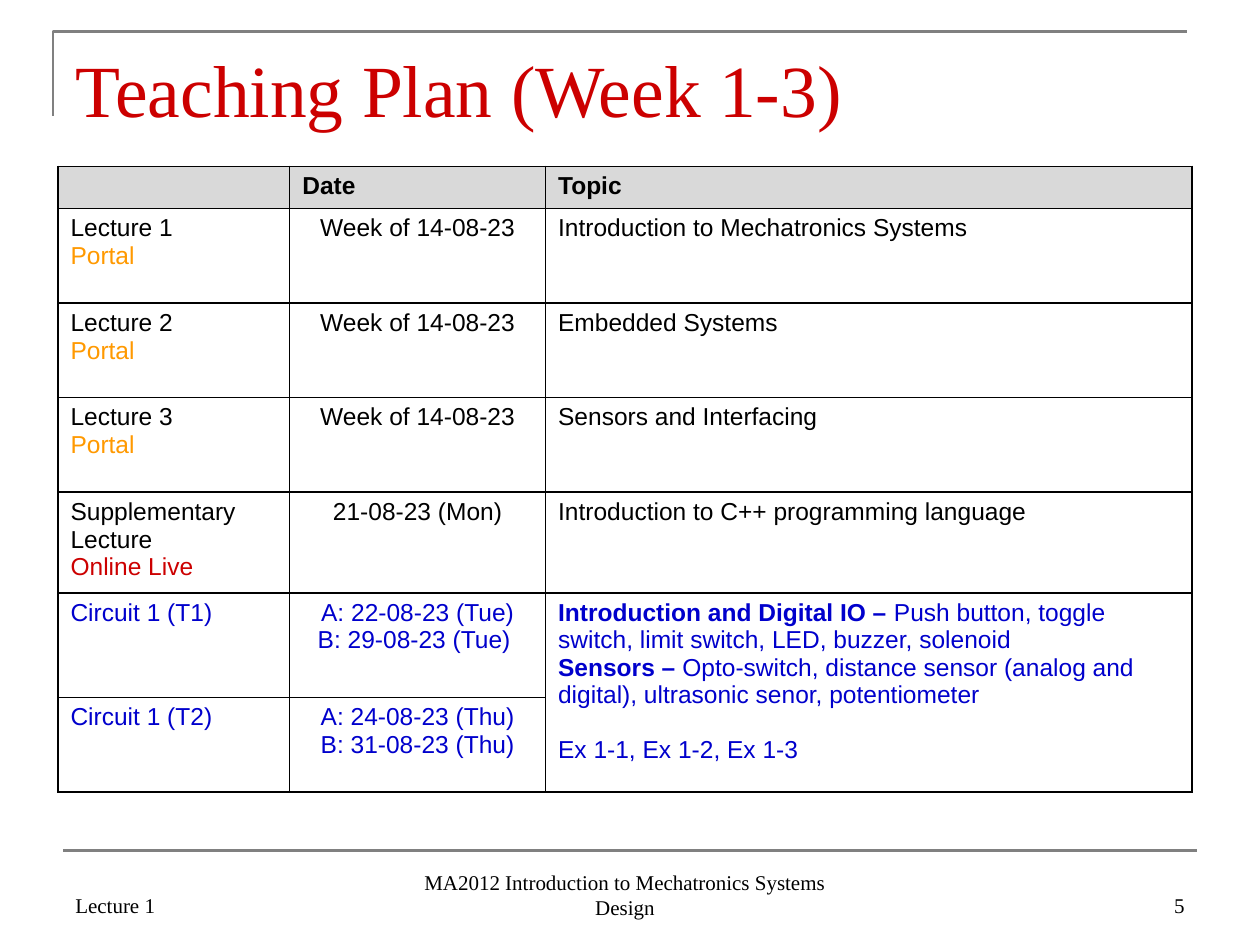
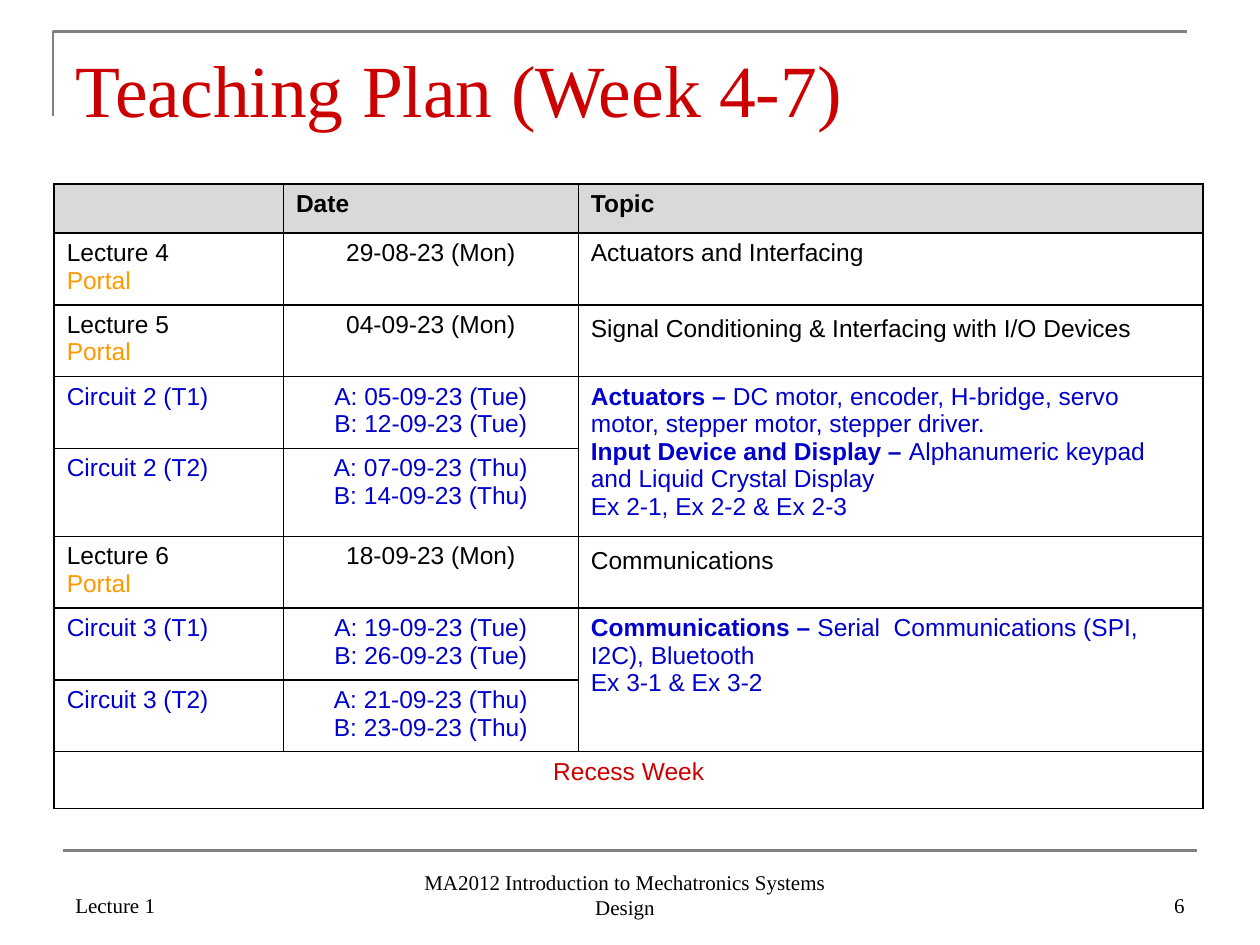
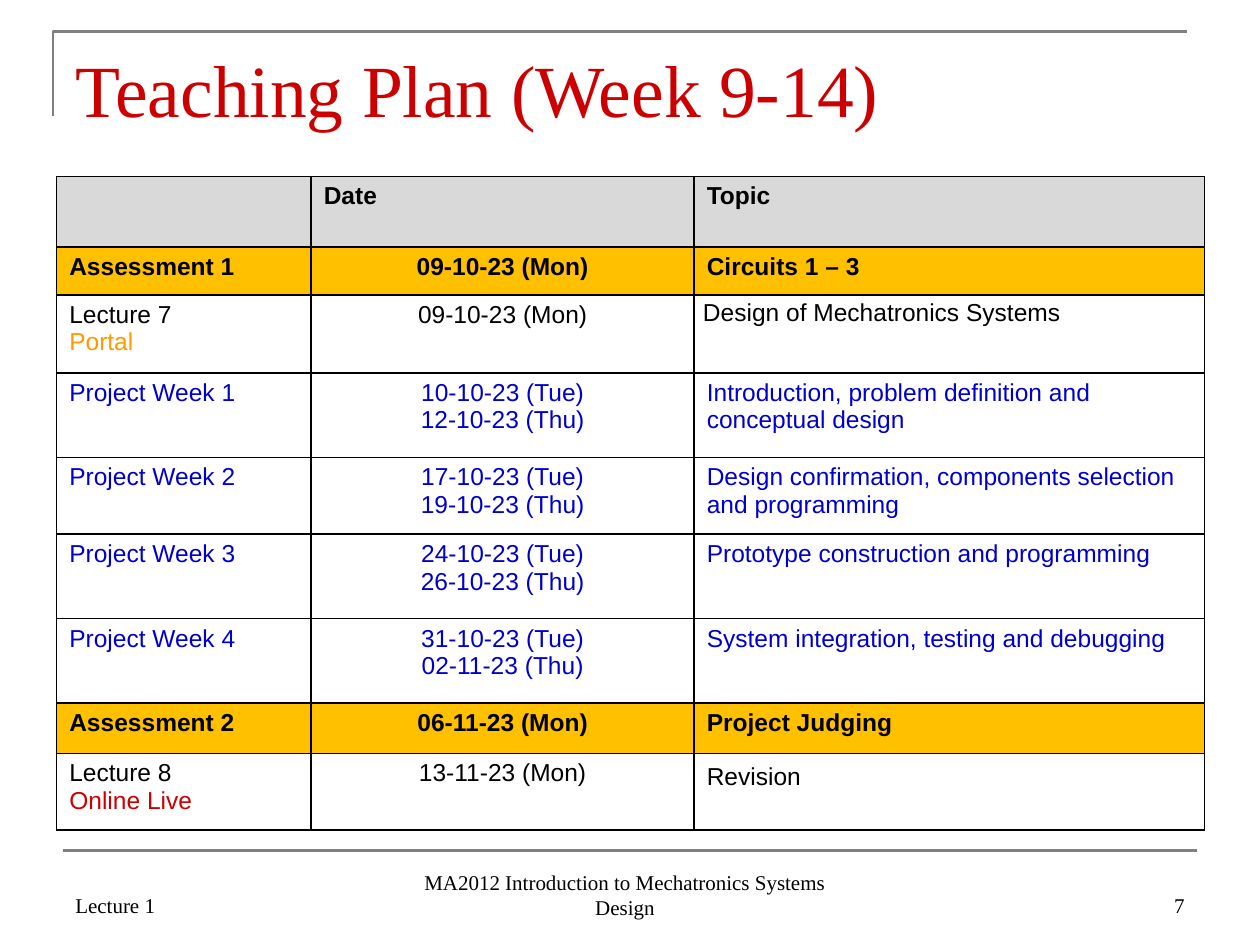
from lxml.etree import SubElement
from pptx import Presentation
from pptx.dml.color import RGBColor
from pptx.enum.text import MSO_ANCHOR, MSO_AUTO_SIZE, PP_ALIGN
from pptx.enum.shapes import MSO_CONNECTOR
from pptx.oxml.ns import qn
from pptx.util import Inches, Pt

BLACK = RGBColor(0x00, 0x00, 0x00)
RED = RGBColor(0xCC, 0x00, 0x00)
BLUE = RGBColor(0x00, 0x00, 0xCC)
ORANGE = RGBColor(0xFF, 0x99, 0x00)
AMBER = RGBColor(0xFF, 0xC0, 0x00)
LIGHT_GREY = RGBColor(0xD9, 0xD9, 0xD9)
RULE_GREY = RGBColor(0x80, 0x80, 0x80)

TITLE_FONT = {"name": "Times New Roman", "size": Pt(42), "bold": False}
FOOTER_FONT = {"name": "Times New Roman", "size": Pt(12)}
CELL_FONT = {"name": "Arial", "size": Pt(14)}

TITLE_BOX = (0.5, 0.3, 9, 0.97)
COURSE = "MA2012 Introduction to Mechatronics Systems Design"
FIRST_PAGE_NUMBER = 5

ROW_STYLES = {
    "header": {"color": BLACK, "bold": True, "fill": LIGHT_GREY},
    "lecture": {"color": BLACK, "bold": False, "fill": None},
    "practical": {"color": BLUE, "bold": False, "fill": None},
    "assessment": {"color": BLACK, "bold": True, "fill": AMBER},
    "recess": {"color": RED, "bold": False, "fill": None},
}
MODE_COLORS = {"Portal": ORANGE, "Online Live": RED}
LOOSE_TOPICS = {
    "Signal Conditioning & Interfacing with I/O Devices",
    "Communications",
    "Design of Mechatronics Systems",
    "Revision",
}
TIGHT_TOPIC = "Design of Mechatronics Systems"
TIGHT_MARGINS = {
    "margin_left": Inches(0.07), "margin_right": Inches(0.07),
    "margin_top": 0, "margin_bottom": 0,
}
SPACED_EXERCISES = "Ex 1-1, Ex 1-2, Ex 1-3"
HEADER_ROW = ("header", "", "Date", "Topic")

PLANS = [
    {
        "title": "Teaching Plan (Week 1-3)",
        "corner": (0.46, 1.32),
        "columns": [1.84, 2.03, 5.13],
        "heights": [0.33, 0.75, 0.75, 0.75, 0.76, 0.83, 0.75],
        "rows": [
            ("lecture", "Lecture 1\nPortal", "Week of 14-08-23",
             "Introduction to Mechatronics Systems"),
            ("lecture", "Lecture 2\nPortal", "Week of 14-08-23", "Embedded Systems"),
            ("lecture", "Lecture 3\nPortal", "Week of 14-08-23", "Sensors and Interfacing"),
            ("lecture", "Supplementary Lecture\nOnline Live", "21-08-23 (Mon)",
             "Introduction to C++ programming language"),
            ("practical", "Circuit 1 (T1)", "A: 22-08-23 (Tue)\nB: 29-08-23 (Tue) ",
             "Introduction and Digital IO – Push button, toggle switch, limit switch, "
             "LED, buzzer, solenoid\n"
             "Sensors – Opto-switch, distance sensor (analog and digital), "
             "ultrasonic senor, potentiometer\n" + SPACED_EXERCISES),
            ("practical", "Circuit 1 (T2)", "A: 24-08-23 (Thu)\nB: 31-08-23 (Thu)", None),
        ],
    },
    {
        "title": "Teaching Plan (Week 4-7)",
        "corner": (0.43, 1.46),
        "columns": [1.82, 2.34, 4.96],
        "heights": [0.39, 0.57, 0.57, 0.57, 0.63, 0.57, 0.57, 0.57, 0.45],
        "rows": [
            ("lecture", "Lecture 4\nPortal", "29-08-23 (Mon)", "Actuators and Interfacing"),
            ("lecture", "Lecture 5\nPortal", "04-09-23 (Mon)",
             "Signal Conditioning & Interfacing with I/O Devices"),
            ("practical", "Circuit 2 (T1)", "A: 05-09-23 (Tue)\nB: 12-09-23 (Tue)",
             "Actuators – DC motor, encoder, H-bridge, servo motor, stepper motor, "
             "stepper driver.\n"
             "Input Device and Display – Alphanumeric keypad and Liquid Crystal Display\n"
             "Ex 2-1, Ex 2-2 & Ex 2-3"),
            ("practical", "Circuit 2 (T2)", "A: 07-09-23 (Thu)\nB: 14-09-23 (Thu)", None),
            ("lecture", "Lecture 6\nPortal", "18-09-23 (Mon)", "Communications"),
            ("practical", "Circuit 3 (T1)", "A: 19-09-23 (Tue)\nB: 26-09-23 (Tue)",
             "Communications – Serial  Communications (SPI, I2C), Bluetooth\n"
             "Ex 3-1 & Ex 3-2"),
            ("practical", "Circuit 3 (T2)", "A: 21-09-23 (Thu)\nB: 23-09-23 (Thu)", None),
            ("recess", "Recess Week", None, None),
        ],
    },
    {
        "title": "Teaching Plan (Week 9-14)",
        "corner": (0.45, 1.4),
        "columns": [2.02, 3.04, 4.05],
        "heights": [0.56, 0.38, 0.62, 0.67, 0.61, 0.67, 0.67, 0.4, 0.61],
        "rows": [
            ("assessment", "Assessment 1", "09-10-23 (Mon)", "Circuits 1 – 3"),
            ("lecture", "Lecture 7\nPortal", "09-10-23 (Mon)", TIGHT_TOPIC),
            ("practical", "Project Week 1", "10-10-23 (Tue)\n12-10-23 (Thu)",
             "Introduction, problem definition and conceptual design"),
            ("practical", "Project Week 2", "17-10-23 (Tue)\n19-10-23 (Thu)",
             "Design confirmation, components selection and programming"),
            ("practical", "Project Week 3", "24-10-23 (Tue)\n26-10-23 (Thu)",
             "Prototype construction and programming"),
            ("practical", "Project Week 4", "31-10-23 (Tue)\n02-11-23 (Thu)",
             "System integration, testing and debugging"),
            ("assessment", "Assessment 2", "06-11-23 (Mon)", "Project Judging"),
            ("lecture", "Lecture 8\nOnline Live", "13-11-23 (Mon)", "Revision"),
        ],
    },
]


def set_all(target, values):
    for name, value in values.items():
        setattr(target, name, value)


def add_span(para, text, font, color):
    span = para.add_run()
    span.text = text
    set_all(span.font, font)
    span.font.color.rgb = color


def set_rule(line):
    line.color.rgb = RULE_GREY
    line.width = Pt(1.5)


def draw_frame(page, left, top, width, height):
    corner = page.shapes.build_freeform(Inches(left), Inches(top + height), scale=1.0)
    corner.add_line_segments(
        [(Inches(left), Inches(top)), (Inches(left + width), Inches(top))], close=False)
    bracket = corner.convert_to_shape()
    bracket.shadow.inherit = False
    bracket.fill.background()
    set_rule(bracket.line)


def draw_title(page, text, left, top, width, height):
    title = page.shapes.title
    set_all(title, {"left": Inches(left), "top": Inches(top),
                    "width": Inches(width), "height": Inches(height)})
    set_all(title.text_frame, {"vertical_anchor": MSO_ANCHOR.TOP, "word_wrap": True,
                               "auto_size": MSO_AUTO_SIZE.NONE})
    para = title.text_frame.paragraphs[0]
    para.alignment = PP_ALIGN.LEFT
    add_span(para, text, TITLE_FONT, RED)


def draw_footer(page, number, left, top, width):
    rule = page.shapes.add_connector(
        MSO_CONNECTOR.STRAIGHT, Inches(left), Inches(top), Inches(left + width), Inches(top))
    set_rule(rule.line)
    SubElement(rule._element.spPr, qn("a:effectLst"))
    side = 2.33
    parts = [
        ("Lecture 1", PP_ALIGN.LEFT, 0, 0.08, side, 0.5),
        (COURSE, PP_ALIGN.CENTER, 2.7, 0.2, 3.52, 0.4),
        (str(number), PP_ALIGN.RIGHT, width - side, 0.08, side, 0.5),
    ]
    for text, alignment, across, down, part_width, part_height in parts:
        box = page.shapes.add_textbox(Inches(left + across), Inches(top + down),
                                      Inches(part_width), Inches(part_height))
        set_all(box.text_frame, {"word_wrap": True, "vertical_anchor": MSO_ANCHOR.BOTTOM})
        para = box.text_frame.paragraphs[0]
        para.alignment = alignment
        add_span(para, text, FOOTER_FONT, BLACK)


def draw_borders(cell):
    properties = cell._tc.get_or_add_tcPr()
    for side in ("lnL", "lnR", "lnT", "lnB"):
        border = SubElement(properties, qn(f"a:{side}"), w=str(Pt(1)))
        fill = SubElement(border, qn("a:solidFill"))
        SubElement(fill, qn("a:srgbClr"), val=str(BLACK))


def fill_cell(cell, text, style, alignment):
    for index, line in enumerate(text.split("\n")):
        para = cell.text_frame.paragraphs[0] if index == 0 else cell.text_frame.add_paragraph()
        para.alignment = alignment
        color = MODE_COLORS.get(line, style["color"])
        font = {**CELL_FONT, "bold": style["bold"]}
        lead, dash, rest = line.partition(" – ")
        if not line:
            para._p.get_or_add_endParaRPr().set("sz", "1400")
        elif dash and not style["bold"]:
            add_span(para, lead + dash, {**font, "bold": True}, color)
            add_span(para, rest, font, color)
        else:
            add_span(para, line, font, color)
        if line in LOOSE_TOPICS:
            para.line_spacing = 1.15
        if line == SPACED_EXERCISES:
            para.space_before = Pt(15.7)
    if text == TIGHT_TOPIC:
        set_all(cell, TIGHT_MARGINS)


def draw_plan(page, rows, columns, heights, left, top):
    table = page.shapes.add_table(
        len(rows), len(columns), Inches(left), Inches(top),
        Inches(sum(columns)), Inches(sum(heights))).table
    set_all(table, {"first_row": False, "horz_banding": False})
    for column, width in zip(table.columns, columns):
        column.width = Inches(width)
    for row_index, (kind, *texts) in enumerate(rows):
        table.rows[row_index].height = Inches(heights[row_index])
        style = ROW_STYLES[kind]
        for column_index, text in enumerate(texts):
            cell = table.cell(row_index, column_index)
            draw_borders(cell)
            if style["fill"] is None:
                cell.fill.background()
            else:
                cell.fill.solid()
                cell.fill.fore_color.rgb = style["fill"]
            centred = kind == "recess" or (column_index == 1 and kind != "header")
            if text is not None:
                fill_cell(cell, text, style, PP_ALIGN.CENTER if centred else PP_ALIGN.LEFT)
        if kind == "recess":
            table.cell(row_index, 0).merge(table.cell(row_index, 2))
        elif texts[2] is None:
            table.cell(row_index - 1, 2).merge(table.cell(row_index, 2))


def build_plan_page(deck, plan, number):
    page = deck.slides.add_slide(deck.slide_layouts[5])
    draw_frame(page, 0.42, 0.25, 9, 0.67)
    draw_footer(page, number, 0.5, 6.75, 9)
    draw_title(page, plan["title"], *TITLE_BOX)
    draw_plan(page, [HEADER_ROW, *plan["rows"]], plan["columns"], plan["heights"],
              *plan["corner"])


def main():
    deck = Presentation()
    set_all(deck, {"slide_width": Inches(10), "slide_height": Inches(7.5)})
    for number, plan in enumerate(PLANS, FIRST_PAGE_NUMBER):
        build_plan_page(deck, plan, number)
    deck.save("out.pptx")


if __name__ == "__main__":
    main()
